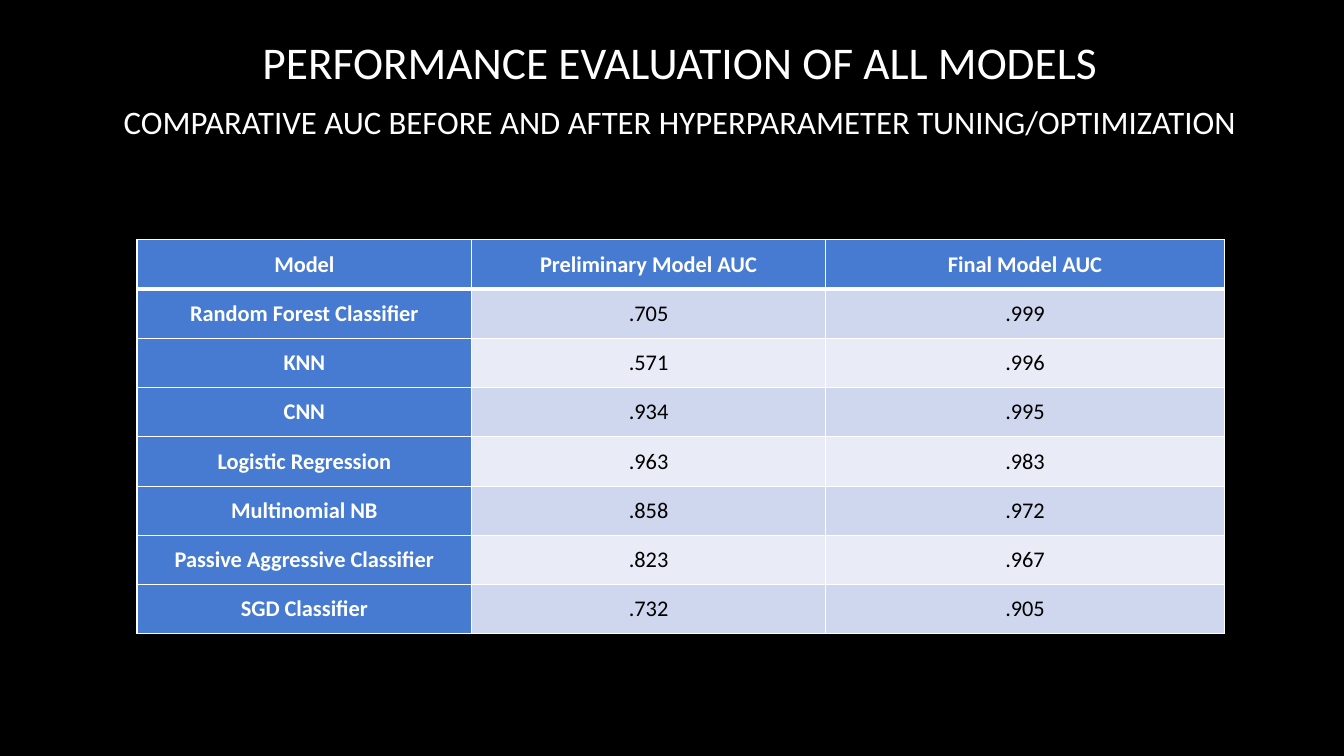
from dataclasses import dataclass

from lxml import etree
from pptx import Presentation
from pptx import slide as sl
from pptx import table as tb
from pptx import util as u
from pptx.dml.color import RGBColor
from pptx.enum import text
from pptx.oxml import ns
from pptx.text import text as tx

BLACK = RGBColor(0x00, 0x00, 0x00)
WHITE = RGBColor(0xFF, 0xFF, 0xFF)
BLUE = RGBColor(0x47, 0x7B, 0xD1)
BAND_DARK = RGBColor(0xCF, 0xD7, 0xEE)
BAND_LIGHT = RGBColor(0xE9, 0xEC, 0xF7)

FONT = "Calibri"
HEADING_LEFT, HEADING_WIDTH, HEADING_HEIGHT = u.Pt(74.16), u.Pt(822.96), u.Pt(41.04)
TABLE_LEFT, TABLE_TOP = u.Pt(97.92), u.Pt(171.36)
COLUMN_WIDTHS = (u.Pt(239.04), u.Pt(252.72), u.Pt(285.12))
ROW_HEIGHT = u.Pt(35.2)
THIN, THICK = u.Pt(1), u.Pt(3)


@dataclass(frozen=True)
class Heading:
    words: str
    top: u.Length
    size: u.Length


@dataclass(frozen=True)
class ModelScore:
    model: str
    preliminary: str
    final: str


TITLE = Heading("PERFORMANCE EVALUATION OF ALL MODELS", u.Pt(23.04), u.Pt(32.4))
SUBTITLE = Heading(
    "COMPARATIVE AUC BEFORE AND AFTER HYPERPARAMETER TUNING/OPTIMIZATION",
    u.Pt(66.24),
    u.Pt(23.4),
)
HEADER = ("Model", "Preliminary Model AUC", "Final Model AUC")
SCORES = (
    ModelScore("Random Forest Classifier", ".705", ".999"),
    ModelScore("KNN", ".571", ".996"),
    ModelScore("CNN", ".934", ".995"),
    ModelScore("Logistic Regression", ".963", ".983"),
    ModelScore("Multinomial NB", ".858", ".972"),
    ModelScore("Passive Aggressive Classifier", ".823", ".967"),
    ModelScore("SGD Classifier", ".732", ".905"),
)


def format_paragraph(
    paragraph: tx._Paragraph, size: u.Length, color: RGBColor, bold: bool = False
) -> None:
    paragraph.alignment = text.PP_ALIGN.CENTER
    paragraph.font.name = FONT
    paragraph.font.size = size
    paragraph.font.bold = bold
    paragraph.font.color.rgb = color


def fill_heading(shape, heading: Heading) -> None:
    shape.left, shape.top = HEADING_LEFT, heading.top
    shape.width, shape.height = HEADING_WIDTH, HEADING_HEIGHT
    frame = shape.text_frame
    frame.text = heading.words
    frame.word_wrap = True
    frame.auto_size = text.MSO_AUTO_SIZE.NONE
    frame.vertical_anchor = text.MSO_ANCHOR.MIDDLE
    format_paragraph(frame.paragraphs[0], heading.size, WHITE)


def add_borders(cell: tb._Cell, top: u.Length, bottom: u.Length) -> None:
    """Draw white cell borders; call before filling, as the schema puts lines first."""
    properties = cell._tc.get_or_add_tcPr()
    for side, width in (("L", THIN), ("R", THIN), ("T", top), ("B", bottom)):
        line = etree.SubElement(properties, ns.qn(f"a:ln{side}"), w=str(width))
        fill = etree.SubElement(line, ns.qn("a:solidFill"))
        etree.SubElement(fill, ns.qn("a:srgbClr"), val=str(WHITE))


def fill_cell(cell: tb._Cell, words: str, row: int, column: int) -> None:
    is_label = row == 0 or column == 0
    add_borders(cell, THICK if row == 1 else THIN, THICK if row == 0 else THIN)
    cell.fill.solid()
    band = BAND_DARK if row % 2 else BAND_LIGHT
    cell.fill.fore_color.rgb = BLUE if is_label else band
    cell.margin_left = cell.margin_right = u.Pt(5)
    cell.margin_top = cell.margin_bottom = u.Pt(0)
    cell.vertical_anchor = text.MSO_ANCHOR.MIDDLE
    cell.text = words
    paragraph = cell.text_frame.paragraphs[0]
    paragraph.space_after = u.Pt(1)
    format_paragraph(paragraph, u.Pt(16), WHITE if is_label else BLACK, is_label)


def add_score_table(slide: sl.Slide) -> None:
    rows = [HEADER] + [(s.model, s.preliminary, s.final) for s in SCORES]
    table = slide.shapes.add_table(
        len(rows), len(HEADER), TABLE_LEFT, TABLE_TOP,
        sum(COLUMN_WIDTHS), ROW_HEIGHT * len(rows),
    ).table
    for column, width in zip(table.columns, COLUMN_WIDTHS):
        column.width = width
    for row, values in enumerate(rows):
        table.rows[row].height = ROW_HEIGHT
        for column, words in enumerate(values):
            fill_cell(table.cell(row, column), words, row, column)


def main() -> None:
    presentation = Presentation()
    presentation.slide_width, presentation.slide_height = u.Pt(960), u.Pt(540)
    title_only = presentation.slide_layouts.get_by_name("Title Only")
    slide = presentation.slides.add_slide(title_only)
    slide.background.fill.solid()
    slide.background.fill.fore_color.rgb = BLACK

    fill_heading(slide.shapes.title, TITLE)
    subtitle = slide.shapes.add_textbox(
        HEADING_LEFT, SUBTITLE.top, HEADING_WIDTH, HEADING_HEIGHT
    )
    fill_heading(subtitle, SUBTITLE)
    add_score_table(slide)
    presentation.save("out.pptx")


if __name__ == "__main__":
    main()
